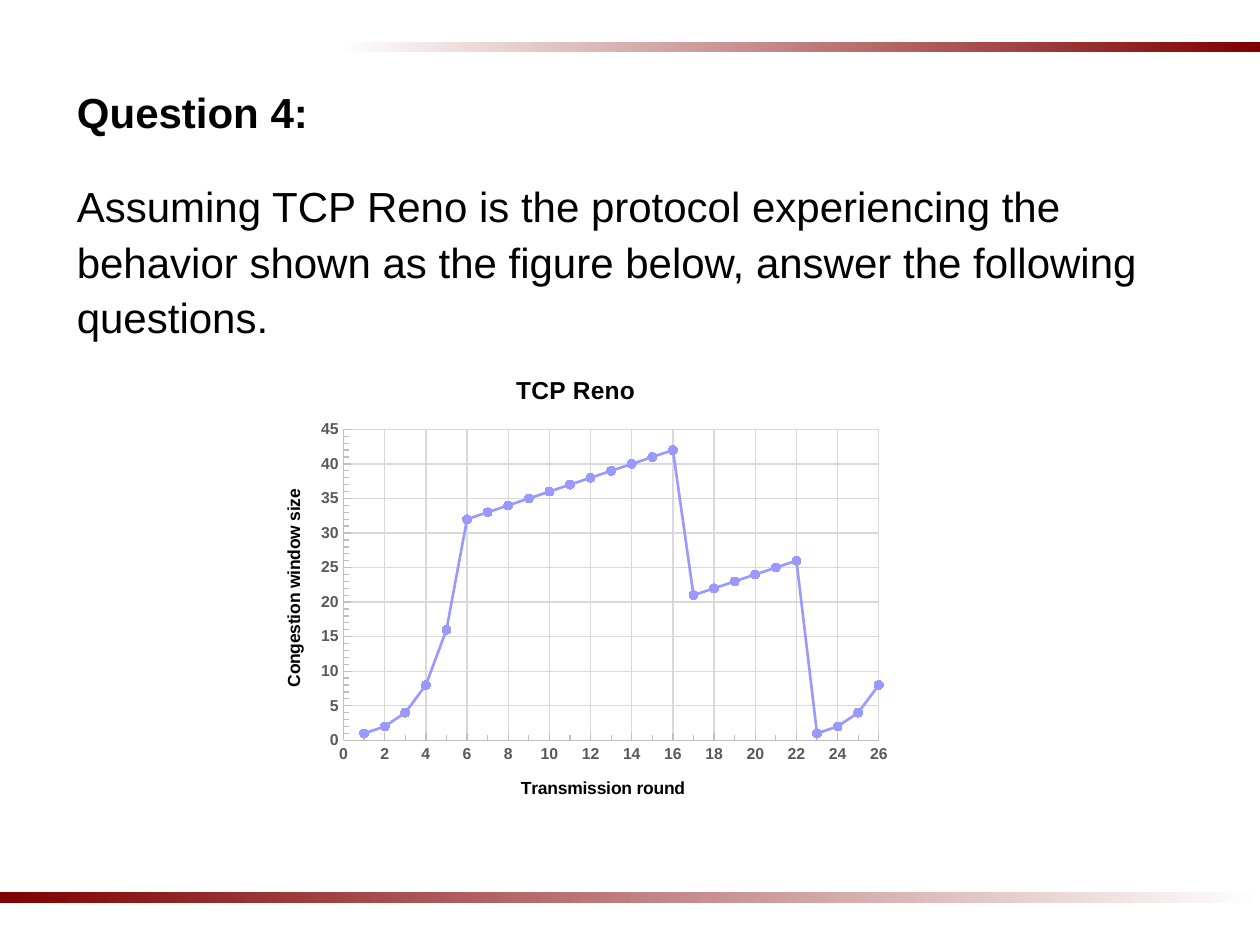
from dataclasses import dataclass

from lxml.etree import SubElement
from pptx import Presentation
from pptx.chart.data import XyChartData
from pptx.dml.color import RGBColor
from pptx.enum.chart import XL_CHART_TYPE, XL_MARKER_STYLE, XL_TICK_LABEL_POSITION, XL_TICK_MARK
from pptx.enum.shapes import MSO_SHAPE
from pptx.enum.text import MSO_ANCHOR, PP_ALIGN
from pptx.oxml.ns import qn
from pptx.util import Pt

FONT = "Arial"
COLORS = {
    "white": "FFFFFF",
    "maroon": "800000",
    "text": "000000",
    "tick": "595959",
    "axis": "BFBFBF",
    "grid": "D9D9D9",
    "line": "9999FF",
}
SIZES = [1, 2, 4, 8, 16, *range(32, 43), *range(21, 27), 1, 2, 4, 8]


@dataclass
class Bar:
    left: float
    top: float
    width: float
    start: str
    end: str


@dataclass
class Scale:
    title: str
    high: int
    major: int
    left: float
    top: float


BARS = [
    Bar(192, 24, 528, "white", "maroon"),
    Bar(0, 510, 720, "maroon", "white"),
]
ROUND = Scale("Transmission round", 26, 2, 0.41, 0.89)
WINDOW = Scale("Congestion window size", 45, 5, 0.04, 0.28)


def color(name: str) -> RGBColor:
    return RGBColor.from_string(COLORS[name])


def style(font, size: float, bold: bool, name: str = "text") -> None:
    font.name = FONT
    font.size = Pt(size)
    font.bold = bold
    font.color.rgb = color(name)


def stroke(line, name: str, width: float) -> None:
    line.color.rgb = color(name)
    line.width = Pt(width)


def place(layout, **parts) -> None:
    """Give a chart layout fixed values, as fractions of the chart."""
    manual = SubElement(layout, qn("c:manualLayout"))
    for key, val in parts.items():
        SubElement(manual, qn(f"c:{key}")).set("val", str(val))


def draw_bar(slide, bar: Bar) -> None:
    shape = slide.shapes.add_shape(
        MSO_SHAPE.RECTANGLE, Pt(bar.left), Pt(bar.top), Pt(bar.width), Pt(6))
    shape.shadow.inherit = False
    shape.line.fill.background()
    shape.fill.gradient()
    shape.fill.gradient_angle = 0
    for stop, name, pos in zip(shape.fill.gradient_stops, (bar.start, bar.end), (0, 1)):
        stop.color.rgb = color(name)
        stop.position = pos


def write(shape, text: str, top: float, height: float, bold: bool, space: float) -> None:
    shape.left, shape.top = Pt(36.8), Pt(top)
    shape.width, shape.height = Pt(663), Pt(height)
    frame = shape.text_frame
    frame.text = text
    frame.word_wrap = True
    frame.vertical_anchor = MSO_ANCHOR.TOP
    frame.margin_top = frame.margin_bottom = 0
    para = frame.paragraphs[0]
    para.alignment = PP_ALIGN.LEFT
    para.line_spacing = space
    style(para.runs[0].font, 24, bold)


def set_title(title, text: str, size: float) -> None:
    frame = title.text_frame
    frame.text = text
    style(frame.paragraphs[0].runs[0].font, size, True)


def set_axis(axis, scale: Scale) -> None:
    axis.minimum_scale, axis.maximum_scale = 0, scale.high
    axis.major_unit, axis.minor_unit = scale.major, 1
    axis.major_tick_mark = axis.minor_tick_mark = XL_TICK_MARK.INSIDE
    axis.tick_label_position = XL_TICK_LABEL_POSITION.NEXT_TO_AXIS
    axis.has_major_gridlines = True
    stroke(axis.major_gridlines.format.line, "grid", 0.75)
    stroke(axis.format.line, "axis", 0.75)
    style(axis.tick_labels.font, 9, True, "tick")
    axis.tick_labels.number_format = "General"
    axis.tick_labels.number_format_is_linked = False
    set_title(axis.axis_title, scale.title, 10)
    layout = axis.axis_title.element.find(qn("c:layout"))
    place(layout, xMode="edge", yMode="edge", x=scale.left, y=scale.top)


def draw_chart(slide) -> None:
    data = XyChartData()
    points = data.add_series("Series 1")
    for step, size in enumerate(SIZES, 1):
        points.add_data_point(step, size)
    chart = slide.shapes.add_chart(
        XL_CHART_TYPE.XY_SCATTER_LINES, Pt(144.7), Pt(202.3), Pt(368.6), Pt(269.3), data).chart
    style(chart.font, 10, False)
    chart.has_legend = False
    set_title(chart.chart_title, "TCP Reno", 14)
    set_axis(chart.category_axis, ROUND)
    set_axis(chart.value_axis, WINDOW)
    body = chart.value_axis.axis_title.element.find(f".//{qn('a:bodyPr')}")
    body.set("rot", "-5400000")
    body.set("vert", "horz")

    area = chart.element.find(f".//{qn('c:plotArea')}")
    layout = area.find(qn("c:layout"))
    if layout is None:
        layout = SubElement(area, qn("c:layout"))
        area.insert(0, layout)
    place(layout, layoutTarget="inner", xMode="edge", yMode="edge",
          x=0.14, y=0.16, w=0.83, h=0.66)

    plot = chart.plots[0]
    plot.vary_by_categories = False
    series = plot.series[0]
    series.smooth = False
    stroke(series.format.line, "line", 1.5)
    mark = series.marker
    mark.style, mark.size = XL_MARKER_STYLE.CIRCLE, 5
    mark.format.fill.solid()
    mark.format.fill.fore_color.rgb = color("line")
    stroke(mark.format.line, "line", 0.75)


def main() -> None:
    deck = Presentation()
    deck.slide_width, deck.slide_height = Pt(720), Pt(540)
    slide = deck.slides.add_slide(deck.slide_layouts[5])
    for bar in BARS:
        draw_bar(slide, bar)
    write(slide.shapes.title, "Question 4:", 49.7, 32, True, 1)
    text = ("Assuming TCP Reno is the protocol experiencing the behavior shown "
            "as the figure below, answer the following questions.")
    write(slide.shapes.add_textbox(0, 0, 0, 0), text, 100.5, 98, False, 1.1)
    draw_chart(slide)
    deck.save("out.pptx")


if __name__ == "__main__":
    main()
